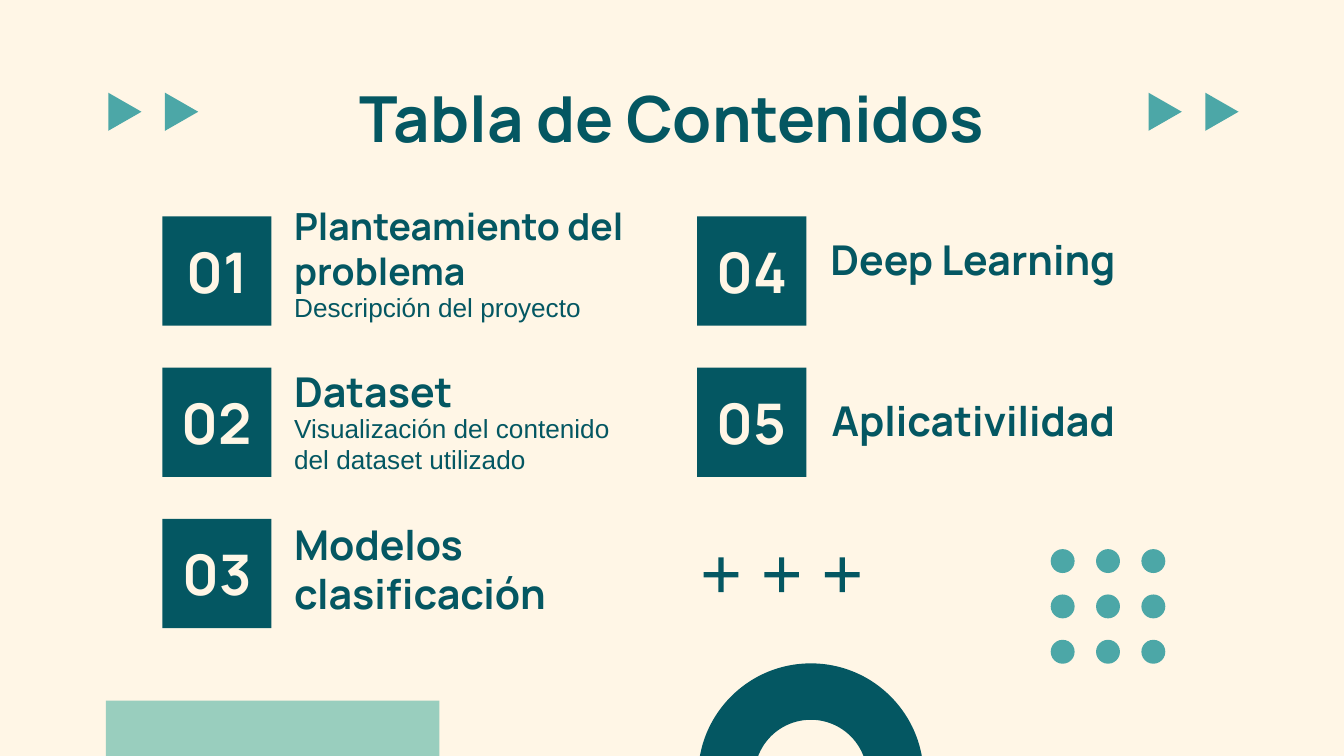
from pptx import Presentation
from pptx.dml.color import RGBColor
from pptx.enum.shapes import MSO_SHAPE as Shape
from pptx.enum.text import MSO_ANCHOR as Anchor, MSO_AUTO_SIZE as AutoSize, PP_ALIGN as Align
from pptx.util import Pt

CREAM, DARK, TEAL, MINT = "FFF6E6", "045762", "4CA7A7", "99CEBE"
HEADING_FONT, BODY_FONT = "Manrope", "Arial"
INSET = 7.2
BOX_SIZE, ROW_TOP, ROW_STEP = 58.5, 116, 81
LEFT_COLUMN, RIGHT_COLUMN = 87, 373.5
TEXT_LEFT = 150.5

# number, column, row
NUMBERS = [
    ("01", LEFT_COLUMN, 0), ("02", LEFT_COLUMN, 1), ("03", LEFT_COLUMN, 2),
    ("04", RIGHT_COLUMN, 0), ("05", RIGHT_COLUMN, 1),
]
# text, left, top, width, size
HEADINGS = [
    ("Planteamiento del problema", TEXT_LEFT, 135.4, 209.5, 20),
    ("Dataset", TEXT_LEFT, 200.9, 195, 22),
    ("Modelos clasificación", TEXT_LEFT, 309.6, 231, 22),
    ("Deep Learning", 437.8, 130.3, 195, 22),
    ("Aplicativilidad", 438.5, 216.7, 195, 22),
]
DESCRIPTIONS = [
    ("Descripción del proyecto", 149),
    ("Visualización del contenido del dataset utilizado", 213.8),
]


def color(hex_value):
    return RGBColor.from_string(hex_value)


def place(shape, left, top, width, height):
    shape.left, shape.top = Pt(left), Pt(top)
    shape.width, shape.height = Pt(width), Pt(height)


def write(shape, text, size, hex_value=DARK, font_name=HEADING_FONT,
          bold=True, align=Align.LEFT, anchor=Anchor.TOP):
    frame = shape.text_frame
    frame.text = text
    frame.word_wrap = True
    frame.auto_size = AutoSize.NONE
    frame.vertical_anchor = anchor
    frame.margin_left = frame.margin_right = Pt(INSET)
    frame.margin_top = frame.margin_bottom = Pt(INSET)
    paragraph = frame.paragraphs[0]
    paragraph.alignment = align
    font = paragraph.runs[0].font
    font.name, font.size, font.bold = font_name, Pt(size), bold
    font.color.rgb = color(hex_value)


def add_figure(slide, kind, left, top, width, height, hex_value, adjustment=None):
    shape = slide.shapes.add_shape(kind, Pt(left), Pt(top), Pt(width), Pt(height))
    shape.shadow.inherit = False
    shape.fill.solid()
    shape.fill.fore_color.rgb = color(hex_value)
    shape.line.fill.background()
    if adjustment is not None:
        shape.adjustments[0] = adjustment
    return shape


def add_text(slide, text, left, top, width, height, size, **style):
    box = slide.shapes.add_textbox(Pt(left), Pt(top), Pt(width), Pt(height))
    write(box, text, size, **style)


def add_title(slide, text):
    title = slide.shapes.title
    place(title, 56.7, 35.3, 606.6, 45.4)
    write(title, text, 34, align=Align.CENTER)


def add_number(slide, number, left, row):
    box = add_figure(slide, Shape.RECTANGLE, left, ROW_TOP + row * ROW_STEP,
                     BOX_SIZE, BOX_SIZE, DARK)
    write(box, number, 30, CREAM, align=Align.CENTER, anchor=Anchor.MIDDLE)


def add_arrow_pair(slide, left):
    for index in range(2):
        arrow = add_figure(slide, Shape.ISOSCELES_TRIANGLE, left + index * 30.4,
                           51, 20.4, 17.8, TEAL)
        arrow.rotation = 90


def add_dot_grid(slide, left, top, step):
    for row in range(3):
        for column in range(3):
            add_figure(slide, Shape.OVAL, left + column * step, top + row * step,
                       12.8, 12.8, TEAL)


def add_plus_row(slide, left, top, step):
    for index in range(3):
        add_figure(slide, Shape.MATH_PLUS, left + index * step, top,
                   25.3, 25.3, DARK, 0.11)


def main():
    presentation = Presentation()
    presentation.slide_width, presentation.slide_height = Pt(720), Pt(405)
    slide = presentation.slides.add_slide(presentation.slide_layouts[5])
    slide.background.fill.solid()
    slide.background.fill.fore_color.rgb = color(CREAM)

    add_figure(slide, Shape.RECTANGLE, 56.7, 375.4, 178.8, 29.6, MINT)
    add_figure(slide, Shape.DONUT, 374, 355.4, 120.8, 120.8, DARK, 0.25)

    add_title(slide, "Tabla de Contenidos")
    for number, left, row in NUMBERS:
        add_number(slide, number, left, row)
    for text, left, top, width, size in HEADINGS:
        add_text(slide, text, left, top, width, 28.8, size, anchor=Anchor.BOTTOM)
    for text, top in DESCRIPTIONS:
        add_text(slide, text, TEXT_LEFT, top, 195, 41, 14,
                 font_name=BODY_FONT, bold=False)

    add_dot_grid(slide, 562.9, 294.2, 24.3)
    for left in (56.7, 614):
        add_arrow_pair(slide, left)
    add_plus_row(slide, 373.6, 295.3, 32.5)

    presentation.save("out.pptx")


if __name__ == "__main__":
    main()
